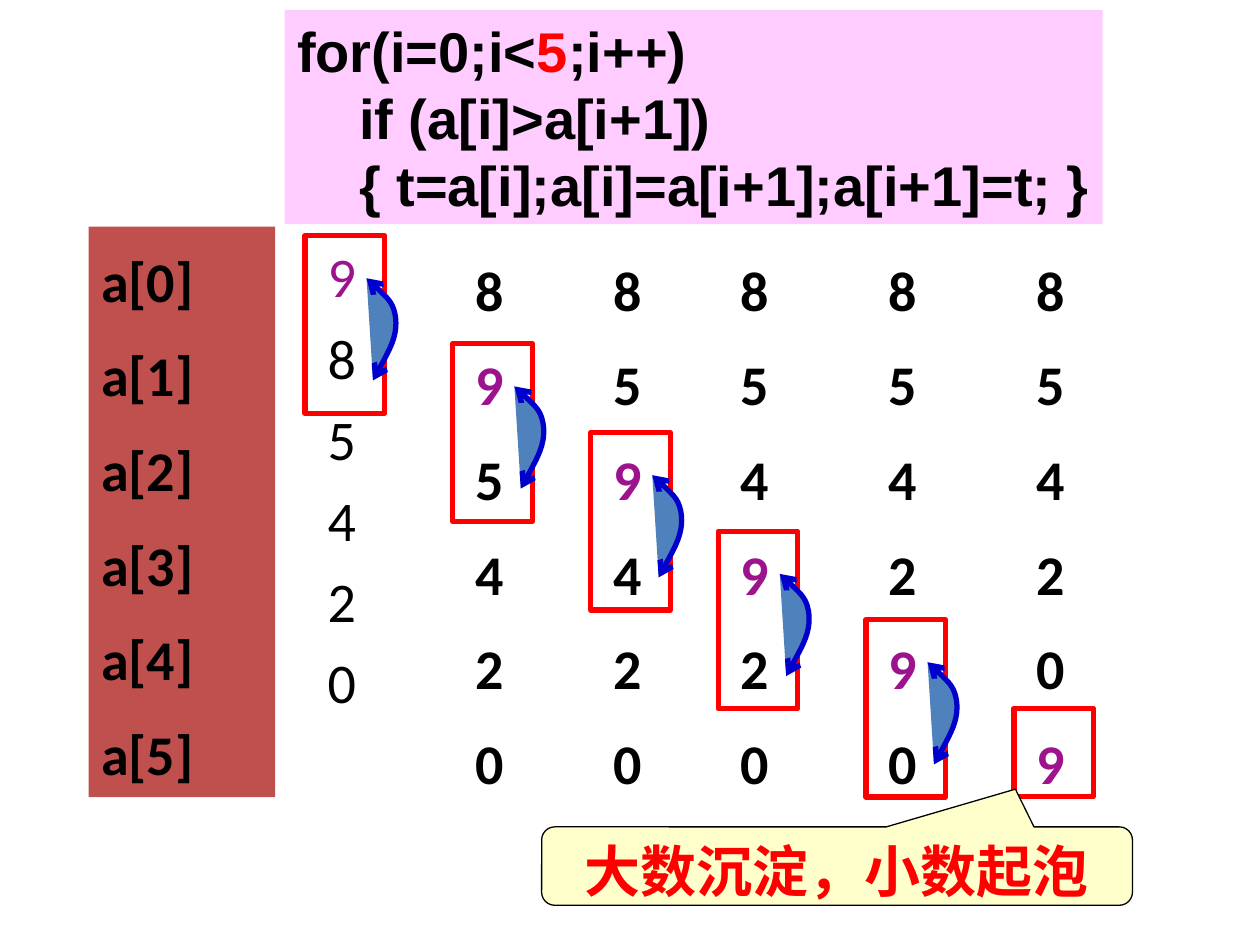
from dataclasses import dataclass

from lxml.etree import SubElement
from pptx import Presentation
from pptx.dml.color import RGBColor
from pptx.enum.shapes import MSO_SHAPE as Shape
from pptx.enum.text import MSO_ANCHOR as Anchor, MSO_AUTO_SIZE as AutoSize, PP_ALIGN as Align
from pptx.oxml.ns import qn
from pptx.util import Cm, Pt


@dataclass(frozen=True)
class Theme:
    black: str = "000000"
    red: str = "FF0000"
    largest: str = "9D138D"
    arrow_line: str = "0000CC"
    arrow_fill: str = "4F81BD"
    index_fill: str = "C0504D"
    code_fill: str = "FFCCFF"
    callout_fill: str = "FFFFCC"
    text_font: str = "Calibri"
    code_font: str = "Arial"
    size: float = 32
    heavy_line: float = 3
    thin_line: float = 0.75


class SlideBuilder:
    def __init__(self, slide, theme):
        self.slide, self.shapes, self.theme = slide, slide.shapes, theme

    def style_run(self, run, font_name, color, bold=True):
        run.font.name = font_name
        run.font.size = Pt(self.theme.size)
        run.font.bold = bold
        run.font.color.rgb = RGBColor.from_string(color)

    def style_line(self, shape, color, width):
        shape.line.color.rgb = RGBColor.from_string(color)
        shape.line.width = Pt(width)

    def box(self, preset, left, top, width, height, fill=None):
        shape = self.shapes.add_shape(preset, Cm(left), Cm(top), Cm(width), Cm(height))
        shape.shadow.inherit = False
        shape.line.fill.background()
        if fill:
            shape.fill.solid()
            shape.fill.fore_color.rgb = RGBColor.from_string(fill)
        else:
            shape.fill.background()
        shape.text_frame.vertical_anchor = Anchor.TOP
        return shape

    def fill_list(self, shape, entries, bold=True, line_spacing=1.2):
        """Write one entry per paragraph; the value 9 gets the accent colour."""
        frame = shape.text_frame
        frame.word_wrap = True
        frame.auto_size = AutoSize.NONE
        frame.vertical_anchor = Anchor.TOP
        frame.text = "\n".join(map(str, entries))
        for position, paragraph in enumerate(frame.paragraphs):
            properties = paragraph._p.get_or_add_pPr()
            properties.set("marL", str(Cm(0.96)))
            properties.set("indent", str(Cm(-0.96)))
            SubElement(properties, qn("a:buNone"))
            paragraph.alignment = Align.LEFT
            paragraph.line_spacing = line_spacing
            paragraph.space_before = Pt(8 if position else 0)
            color = self.theme.largest if paragraph.text == "9" else self.theme.black
            self.style_run(paragraph.runs[0], self.theme.text_font, color, bold)

    def body_column(self, left, top, width, height, entries):
        body = self.slide.placeholders[1]
        body.left, body.top, body.width, body.height = map(Cm, (left, top, width, height))
        self.fill_list(body, entries, bold=False, line_spacing=1)

    def column(self, left, top, width, height, entries):
        text_box = self.shapes.add_textbox(Cm(left), Cm(top), Cm(width), Cm(height))
        self.fill_list(text_box, entries)

    def frame(self, left, top, height):
        shape = self.box(Shape.FLOWCHART_PROCESS, left, top, 1.6, height)
        self.style_line(shape, self.theme.red, self.theme.heavy_line)

    def swap_arrow(self, left, top):
        """Draw two joined Bezier curves with an arrowhead at each end."""
        offsets = [(0.13, 2.06), (0.37, 1.62), (0.61, 1.19), (0.59, 0.84),
                   (0.56, 0.5), (0.28, 0.25), (0, 0)]
        points = [(Cm(left + x), Cm(top + y)) for x, y in offsets]
        builder = self.shapes.build_freeform(*points[0])
        builder.add_line_segments(points[1:], close=False)
        shape = builder.convert_to_shape()
        path = next(shape._element.iter(qn("a:path")))
        segments = path.findall(qn("a:lnTo"))
        for start in range(0, len(segments), 3):
            curve = SubElement(path, qn("a:cubicBezTo"))
            for segment in segments[start:start + 3]:
                curve.append(segment[0])
                path.remove(segment)
        shape.shadow.inherit = False
        shape.fill.solid()
        shape.fill.fore_color.rgb = RGBColor.from_string(self.theme.arrow_fill)
        self.style_line(shape, self.theme.arrow_line, self.theme.heavy_line)
        line = shape.line._get_or_add_ln()
        for end in ("a:headEnd", "a:tailEnd"):
            SubElement(line, qn(end)).set("type", "arrow")

    def callout(self, left, top, width, height, text):
        shape = self.box(Shape.ROUNDED_RECTANGULAR_CALLOUT, left, top, width, height,
                         self.theme.callout_fill)
        for index, value in enumerate((0.302, -0.982, 0.167)):
            shape.adjustments[index] = value
        self.style_line(shape, self.theme.black, self.theme.thin_line)
        shape.text_frame.text = text
        paragraph = shape.text_frame.paragraphs[0]
        paragraph.alignment = Align.CENTER
        self.style_run(paragraph.runs[0], self.theme.code_font, self.theme.red)

    def code(self, left, top, width, height, lines):
        """Write code lines, each a list of (text, colour) pieces."""
        shape = self.box(Shape.RECTANGLE, left, top, width, height, self.theme.code_fill)
        frame = shape.text_frame
        frame.word_wrap = False
        frame.auto_size = AutoSize.NONE
        frame.margin_right = 0
        for number, pieces in enumerate(lines):
            paragraph = frame.add_paragraph() if number else frame.paragraphs[0]
            paragraph.alignment = Align.LEFT
            for text, color in pieces:
                run = paragraph.add_run()
                run.text = text
                self.style_run(run, self.theme.code_font, color)


def main():
    presentation = Presentation()
    presentation.slide_width, presentation.slide_height = Cm(25.4), Cm(19.05)
    slide = presentation.slides.add_slide(presentation.slide_layouts[1])
    title = slide.shapes.title._element
    title.getparent().remove(title)
    theme = Theme()
    builder = SlideBuilder(slide, theme)

    values = [9, 8, 5, 4, 2, 0]
    last = len(values) - 1
    column_lefts = [6.35, 9.33, 12.11, 14.68, 17.66, 20.64]
    frame_tops = [4.75, 6.93, 8.72, 10.71, 12.49, 14.28]
    for step, (left, frame_top) in enumerate(zip(column_lefts, frame_tops)):
        add_column = builder.column if step else builder.body_column
        add_column(left, 4.75, 1.98, 11.5, values)
        builder.frame(left - 0.2, frame_top, 3.58 if step < last else 1.78)
        if step < last:
            builder.swap_arrow(left + 1.04, frame_top + 0.86)
            values[step], values[step + 1] = values[step + 1], values[step]

    builder.callout(10.92, 16.67, 11.91, 1.58, "大数沉淀，小数起泡")
    index_panel = builder.box(Shape.RECTANGLE, 1.79, 4.57, 3.76, 11.5, theme.index_fill)
    builder.fill_list(index_panel, [f"a[{index}]" for index in range(len(values))])
    builder.code(5.74, 0.2, 16.49, 4.32, [
        [("for(i=0;i<", theme.black), ("5", theme.red), (";i++)", theme.black)],
        [("    if (a[i]>a[i+1])", theme.black)],
        [("    { t=a[i];a[i]=a[i+1];a[i+1]=t; }", theme.black)],
    ])
    presentation.save("out.pptx")


if __name__ == "__main__":
    main()
